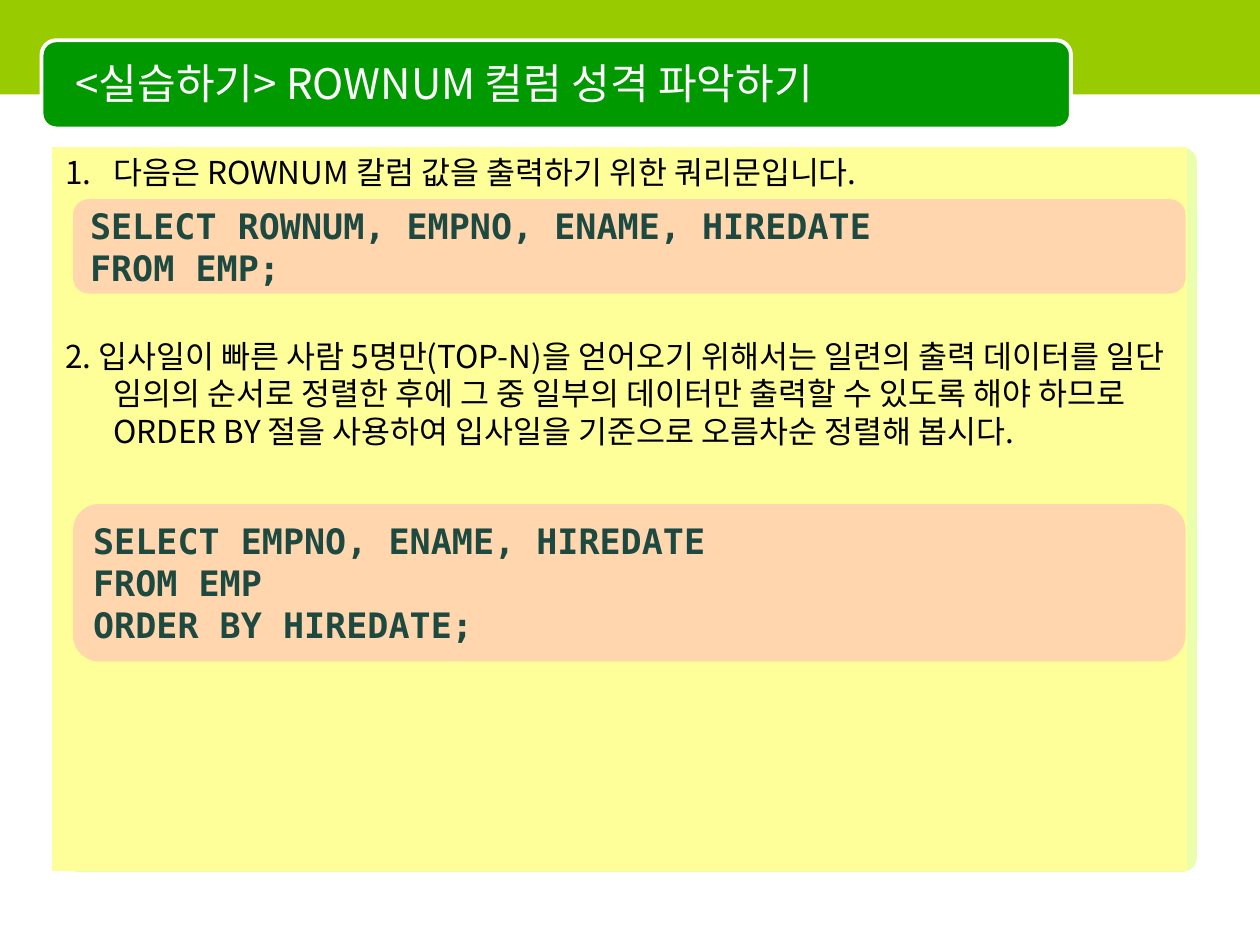
import pptx
import pptx.util
import pptx.dml.color
import pptx.enum.shapes
import pptx.enum.text
import pptx.oxml.ns
from lxml import etree

Inches, Pt = pptx.util.Inches, pptx.util.Pt
SHAPE = pptx.enum.shapes.MSO_SHAPE
ANCHOR = pptx.enum.text.MSO_ANCHOR
LEFT = pptx.enum.text.PP_ALIGN.LEFT
qn = pptx.oxml.ns.qn

COLORS = {
    "lime": "99CC00", "green": "009900", "white": "FFFFFF", "black": "000000",
    "shade": "CCFF33", "paper": "FFFF99", "code box": "FF99CC", "code": "1D4940",
}
FORMATS = {
    "title": {"size": Pt(24), "name": "Noto Sans CJK KR", "bold": False},
    "body": {"size": Pt(18), "name": "Noto Sans CJK KR", "bold": False},
    "code": {"size": Pt(20), "name": "DejaVu Sans Mono", "bold": True},
}


def color(name):
    return pptx.dml.color.RGBColor.from_string(COLORS[name])


class SlideStyle:
    """Holds the deck's look and the page being filled."""

    def __init__(self, deck):
        self.page = deck.slides.add_slide(deck.slide_layouts[5])

    def shape(self, kind, place, fill, line=None, width=0.75, alpha=None, corner=None):
        box = self.page.shapes.add_shape(kind, *map(Inches, place))
        box.shadow.inherit = False
        box.fill.solid()
        box.fill.fore_color.rgb = color(fill)
        if alpha is not None:
            tint = box._element.spPr.find(".//" + qn("a:srgbClr"))
            etree.SubElement(tint, qn("a:alpha"), val=str(alpha * 1000))
        if line:
            box.line.color.rgb = color(line)
            box.line.width = Pt(width)
        else:
            box.line.fill.background()
        if corner is not None:
            box.adjustments[0] = corner
        return box

    def frame(self, box, anchor):
        frame = box.text_frame
        frame.word_wrap = True
        frame.vertical_anchor = anchor
        frame.margin_left = frame.margin_right = Inches(0.1)
        frame.margin_top = frame.margin_bottom = Inches(0.05)
        return frame

    def add_text(self, para, text, style, ink, spacing=None):
        para.alignment = LEFT
        para.line_spacing = spacing
        span = para.add_run()
        span.text = text
        for key, value in FORMATS[style].items():
            setattr(span.font, key, value)
        span.font.color.rgb = color(ink)
        etree.SubElement(span._r.get_or_add_rPr(), qn("a:ea"), typeface=FORMATS[style]["name"])

    def title(self, text, place):
        box = self.page.shapes.title
        box.left, box.top, box.width, box.height = map(Inches, place)
        self.page.shapes._spTree.append(box._element)  # in front of the banner
        frame = self.frame(box, ANCHOR.MIDDLE)
        self.add_text(frame.paragraphs[0], text, "title", "white")

    def steps(self, box, first, second, gap):
        frame = self.frame(box, ANCHOR.TOP)
        for text, before in ((first, 0), (second, gap)):
            para = frame.add_paragraph() if before else frame.paragraphs[0]
            props = para._p.get_or_add_pPr()
            props.set("marL", str(Inches(0.38)))
            props.set("indent", str(-Inches(0.38)))
            if not before:
                etree.SubElement(props, qn("a:buAutoNum"), type="arabicPeriod")
            para.space_before = Pt(before)
            self.add_text(para, text, "body", "black", Pt(21.4))

    def code(self, place, lines):
        box = self.shape(SHAPE.ROUNDED_RECTANGLE, place, "code box", alpha=40, corner=0.167)
        frame = self.frame(box, ANCHOR.MIDDLE)
        for index, text in enumerate(lines):
            para = frame.add_paragraph() if index else frame.paragraphs[0]
            self.add_text(para, text, "code", "code", Pt(24))


def main():
    deck = pptx.Presentation()
    deck.slide_width, deck.slide_height = Inches(10), Inches(7.5)
    style = SlideStyle(deck)

    # Backdrop and title banner
    style.shape(SHAPE.ROUNDED_RECTANGLE, (0.5, 1.17, 9, 5.75), "shade", alpha=40, corner=0.02)
    style.shape(SHAPE.RECTANGLE, (0, 0, 10, 0.75), "lime")
    style.shape(SHAPE.ROUNDED_RECTANGLE, (0.33, 0.32, 8.17, 0.7), "green",
                line="white", width=2.25, corner=0.167)
    style.title("<실습하기> ROWNUM 컬럼 성격 파악하기", (0.5, 0.35, 7.92, 0.62))

    # Exercise steps
    paper = style.shape(SHAPE.RECTANGLE, (0.42, 1.17, 9, 5.74), "paper", line="paper")
    style.steps(
        paper,
        "다음은 ROWNUM 칼럼 값을 출력하기 위한 쿼리문입니다.",
        "2. 입사일이 빠른 사람 5명만(TOP-N)을 얻어오기 위해서는 일련의 출력 데이터를 "
        "일단 임의의 순서로 정렬한 후에 그 중 일부의 데이터만 출력할 수 있도록 해야 "
        "하므로 ORDER BY 절을 사용하여 입사일을 기준으로 오름차순 정렬해 봅시다.",
        gap=83.5)

    # Queries
    style.code((0.58, 1.58, 8.83, 0.75),
               ["SELECT ROWNUM, EMPNO, ENAME, HIREDATE", "FROM EMP;"])
    style.code((0.58, 4, 8.83, 1.25),
               ["SELECT EMPNO, ENAME, HIREDATE", "FROM EMP", "ORDER BY HIREDATE;"])

    deck.save("out.pptx")


if __name__ == "__main__":
    main()
